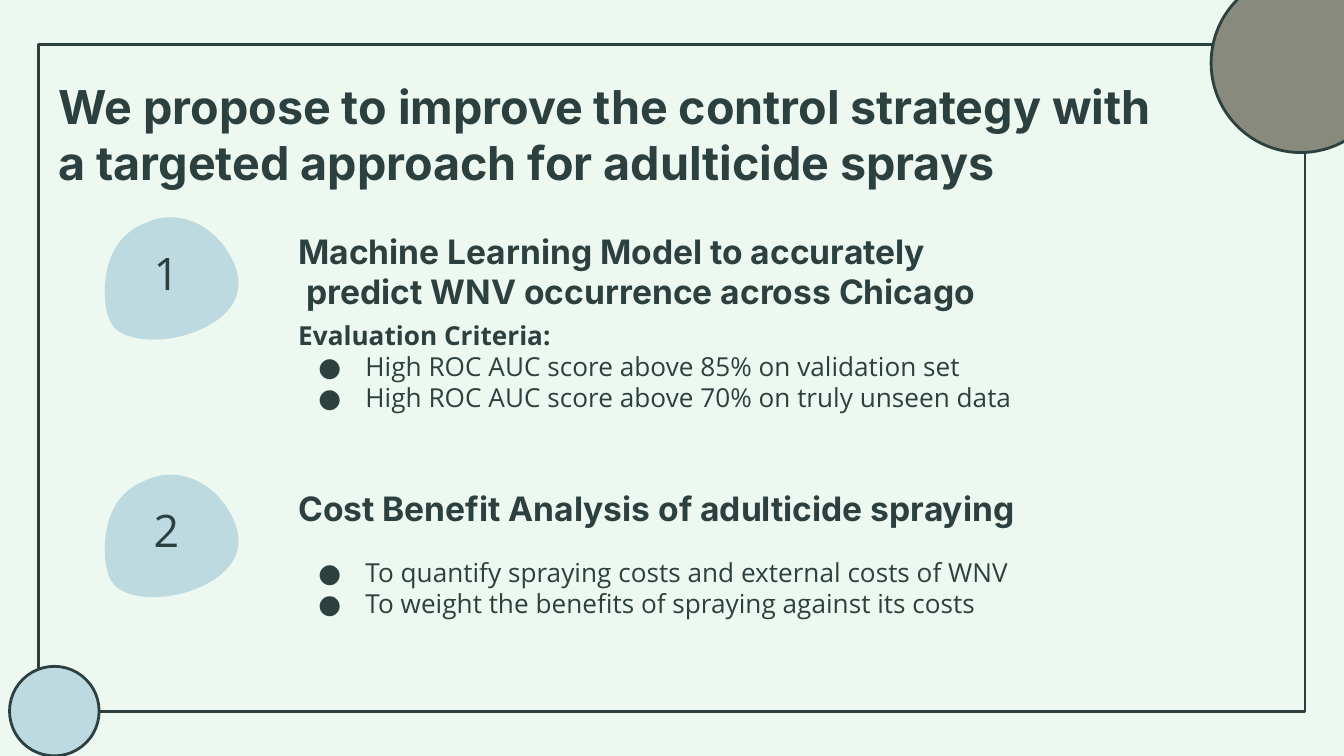
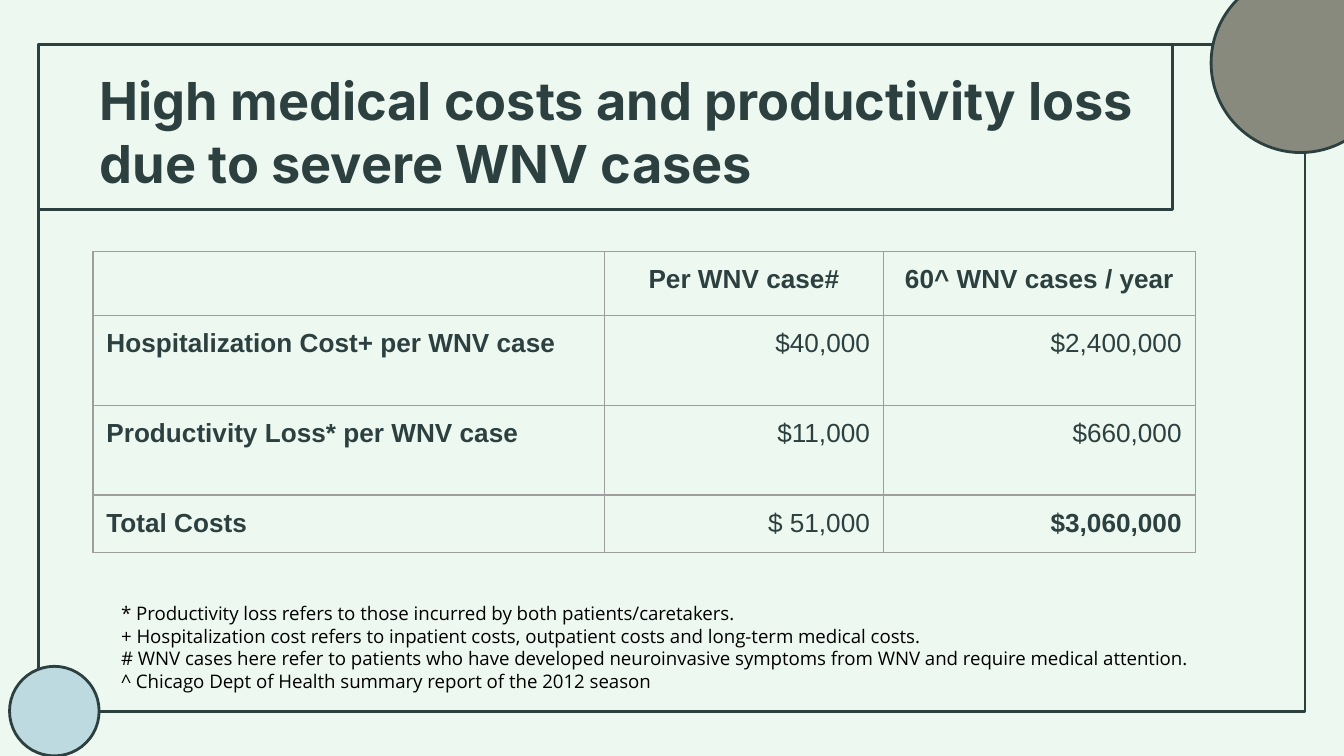
from lxml import etree
from pptx import Presentation
from pptx.dml.color import RGBColor
from pptx.enum.shapes import MSO_SHAPE
from pptx.enum.text import MSO_ANCHOR, MSO_AUTO_SIZE, PP_ALIGN
from pptx.oxml.ns import qn
from pptx.util import Pt

RECT, OVAL = MSO_SHAPE.RECTANGLE, MSO_SHAPE.OVAL
TOP, MIDDLE = MSO_ANCHOR.TOP, MSO_ANCHOR.MIDDLE
LEFT, CENTER, RIGHT = PP_ALIGN.LEFT, PP_ALIGN.CENTER, PP_ALIGN.RIGHT
NO_FIT = MSO_AUTO_SIZE.NONE

MINT = RGBColor(0xED, 0xF8, 0xF0)
DARK = RGBColor(0x2D, 0x40, 0x40)
OLIVE = RGBColor(0x87, 0x8A, 0x7D)
PALE_BLUE = RGBColor(0xBD, 0xDA, 0xE0)
GREY = RGBColor(0x9E, 0x9E, 0x9E)
BLACK = RGBColor(0, 0, 0)
HEAD_FONT, BODY_FONT, TABLE_FONT = "Inter", "Open Sans", "Arial"
INSET = 7.2

FRAME = [
    (RECT, (20.7, 23.8, 678.5, 357.3), None),
    (OVAL, (648.8, -14.3, 96, 96), OLIVE),
    (OVAL, (5.1, 357, 48, 48), PALE_BLUE),
]

PROPOSAL_TITLE = [
    "We propose to improve the control strategy with",
    "a targeted approach for adulticide sprays",
]
STEPS = [
    {
        "top": 116.4,
        "heading": ["Machine Learning Model to accurately",
                    "predict WNV occurrence across Chicago"],
        "body_top": 163.7,
        "label": ["Evaluation Criteria:"],
        "bullets": ["High ROC AUC score above 85% on validation set",
                    "High ROC AUC score above 70% on truly unseen data"],
    },
    {
        "top": 254.3,
        "heading": ["Cost Benefit Analysis of adulticide spraying"],
        "body_top": 290.9,
        "label": [],
        "bullets": ["To quantify spraying costs and external costs of WNV",
                    "To weight the benefits of spraying against its costs"],
    },
]
BLOB_START = (35.3, 0)
BLOB_CURVES = [
    ((31, 0), (26.6, 0.7), (22.3, 2.9)),
    ((6.5, 8.6), (0, 23), (0, 39.6)),
    ((0, 46.8), (0.7, 55.4), (6.5, 60.5)),
    ((11.5, 64), (18, 65.5), (24.5, 65.5)),
    ((25.9, 65.5), (27.4, 65.5), (28.1, 65.5)),
    ((49.7, 64.8), (80.6, 50.4), (69.1, 24.5)),
    ((62.6, 10), (49.7, 0), BLOB_START),
]

COSTS_TITLE = ["High medical costs and productivity loss due to severe WNV cases"]
COSTS = [
    ("", "Per WNV case#", "60^ WNV cases / year"),
    ("Hospitalization Cost+ per WNV case", "$40,000", "$2,400,000"),
    ("Productivity Loss* per WNV case", "$11,000", "$660,000"),
    ("Total Costs", "$ 51,000", "$3,060,000"),
]
COL_WIDTHS = (274, 149.5, 167)
ROW_HEIGHTS = (31, 48, 48, 31)
FOOTNOTES = [
    "* Productivity loss refers to those incurred by both patients/caretakers.",
    "+ Hospitalization cost refers to inpatient costs, outpatient costs and long-term medical costs.",
    "# WNV cases here refer to patients who have developed neuroinvasive symptoms from WNV and require medical attention.",
    "^ Chicago Dept of Health summary report of the 2012 season",
]


def pts(values):
    return [Pt(v) for v in values]


def style(p, size, font, color=DARK, bold=False):
    for r in p.runs:
        r.font.size = Pt(size)
        r.font.name = font
        r.font.bold = bold
        r.font.color.rgb = color


def write(tf, lines, size, font, color=DARK, bold=False):
    tf.word_wrap = True
    tf.margin_left = tf.margin_top = tf.margin_right = tf.margin_bottom = Pt(INSET)
    tf.text = "\n".join(lines)
    for p in tf.paragraphs:
        p.alignment = LEFT
        style(p, size, font, color, bold)
    return tf


def add_text(s, box, *args, **kwargs):
    return write(s.shapes.add_textbox(*pts(box)).text_frame, *args, **kwargs)


def indent(p, left, first=0):
    pPr = p._p.get_or_add_pPr()
    pPr.set("marL", str(Pt(left)))
    pPr.set("indent", str(Pt(first)))
    return pPr


def add_bullet(p):
    pPr = indent(p, 36, -25.2)
    clr = etree.SubElement(pPr, qn("a:buClr"))
    etree.SubElement(clr, qn("a:srgbClr"), val=str(DARK))
    etree.SubElement(pPr, qn("a:buSzPts"), val="1400")
    etree.SubElement(pPr, qn("a:buFont"), typeface=BODY_FONT)
    etree.SubElement(pPr, qn("a:buChar"), char="●")


def outline(sp):
    sp.line.color.rgb = DARK
    sp.line.width = Pt(1.5)


def add_frame(s):
    layout_tree = s.slide_layout.shapes._spTree
    for kind, place, color in FRAME:
        sp = s.shapes.add_shape(kind, *pts(place))
        sp.shadow.inherit = False
        outline(sp)
        if color is None:
            sp.fill.background()
        else:
            sp.fill.solid()
            sp.fill.fore_color.rgb = color
        layout_tree.append(sp._element)


def add_slide(prs, title, box, size, anchor):
    s = prs.slides.add_slide(prs.slide_layouts[5])
    sp = s.shapes.title
    sp.left, sp.top, sp.width, sp.height = pts(box)
    tf = write(sp.text_frame, title, size, HEAD_FONT, bold=True)
    tf.auto_size = NO_FIT
    tf.vertical_anchor = anchor
    return s


def add_blob(s, left, top):
    builder = s.shapes.build_freeform(*pts(BLOB_START))
    builder.add_line_segments([pts(end) for _, _, end in BLOB_CURVES], close=True)
    sp = builder.convert_to_shape(Pt(left), Pt(top))
    segments = list(sp._element.iter(qn("a:lnTo")))
    for segment, (c1, c2, _) in zip(segments, BLOB_CURVES):
        segment.tag = qn("a:cubicBezTo")
        for i, (x, y) in enumerate((c1, c2)):
            pt = etree.Element(qn("a:pt"), x=str(Pt(x)), y=str(Pt(y)))
            segment.insert(i, pt)
    sp.shadow.inherit = False
    sp.fill.solid()
    sp.fill.fore_color.rgb = PALE_BLUE
    sp.line.fill.background()


def add_step(s, number, step):
    top = step["top"]
    add_blob(s, 56.2, top)
    add_text(s, (75.2, top + 8, 55.4, 43.9), [str(number)], 24, BODY_FONT)
    tf = add_text(s, (152.7, top, 471.6, 14.4 + 22 * len(step["heading"])),
                  step["heading"], 18, HEAD_FONT, bold=True)
    for p in tf.paragraphs[1:]:
        indent(p, 4.5)
    label = step["label"]
    lines = label + step["bullets"]
    tf = add_text(s, (152.7, step["body_top"], 520, 14.4 + 17 * len(lines)),
                  lines, 14, BODY_FONT)
    for p in tf.paragraphs[:len(label)]:
        style(p, 14, BODY_FONT, bold=True)
    for p in tf.paragraphs[len(label):]:
        add_bullet(p)


def add_borders(cell):
    tcPr = cell._tc.get_or_add_tcPr()
    for side in ("lnL", "lnR", "lnT", "lnB"):
        ln = etree.SubElement(tcPr, qn("a:" + side), w=str(Pt(0.75)))
        fill = etree.SubElement(ln, qn("a:solidFill"))
        etree.SubElement(fill, qn("a:srgbClr"), val=str(GREY))


def add_costs(s):
    box = pts((49.8, 134.6, sum(COL_WIDTHS), sum(ROW_HEIGHTS)))
    table = s.shapes.add_table(len(COSTS), len(COL_WIDTHS), *box).table
    table.first_row = table.horz_banding = False
    for col, width in zip(table.columns, COL_WIDTHS):
        col.width = Pt(width)
    for row, height in zip(table.rows, ROW_HEIGHTS):
        row.height = Pt(height)
    last = (len(COSTS) - 1, len(COL_WIDTHS) - 1)
    for i, values in enumerate(COSTS):
        for j, value in enumerate(values):
            cell = table.cell(i, j)
            add_borders(cell)
            cell.fill.background()
            cell.margin_left = cell.margin_right = Pt(INSET)
            cell.margin_top = cell.margin_bottom = Pt(INSET)
            p = cell.text_frame.paragraphs[0]
            p.text = value
            p.alignment = CENTER if i == 0 else LEFT if j == 0 else RIGHT
            style(p, 14, TABLE_FONT, bold=i == 0 or j == 0 or (i, j) == last)
            if not value:
                end = etree.SubElement(p._p, qn("a:endParaRPr"), sz="1800")
                etree.SubElement(end, qn("a:latin"), typeface=TABLE_FONT)


def main():
    prs = Presentation()
    prs.slide_width, prs.slide_height = Pt(720), Pt(405)
    bg = prs.slide_master.background.fill
    bg.solid()
    bg.fore_color.rgb = MINT

    s = add_slide(prs, PROPOSAL_TITLE, (24.2, 34.6, 682.6, 74.9), 25, TOP)
    add_frame(s)
    for number, step in enumerate(STEPS, 1):
        add_step(s, number, step)

    s = add_slide(prs, COSTS_TITLE, (20.7, 23.8, 607.5, 88.5), 28, MIDDLE)
    title = s.shapes.title
    outline(title)
    title.text_frame.margin_left = Pt(32.7)
    title.text_frame.margin_bottom = Pt(3.2)
    add_costs(s)
    add_text(s, (57.8, 315.4, 624.2, 74.9), FOOTNOTES, 10, BODY_FONT, BLACK)

    prs.save("out.pptx")


if __name__ == "__main__":
    main()
